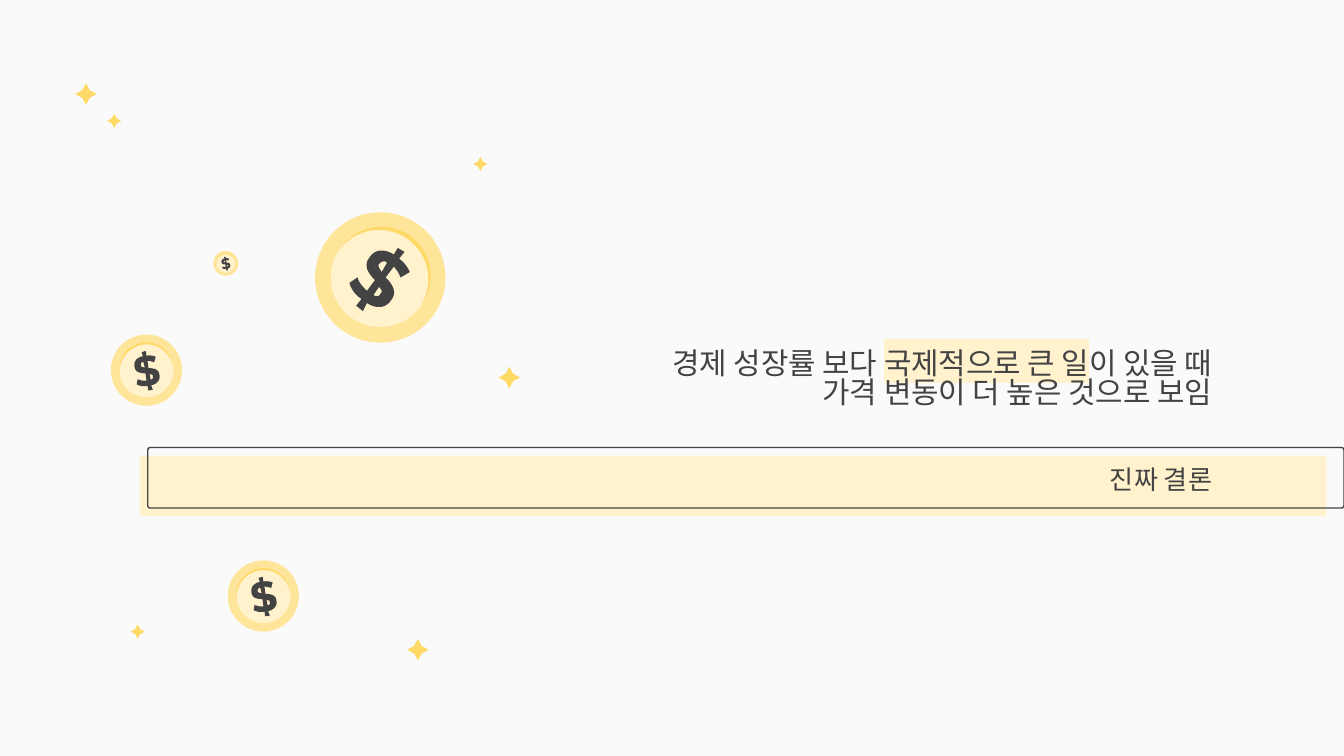
"""Builds the closing slide with floating coins, sparkles and a title bar."""
import math
from pptx import Presentation, util as u
from pptx.dml.color import RGBColor
from pptx.enum import shapes as es, text as et
from pptx.oxml import parse_xml
from pptx.oxml.ns import nsdecls, qn

HUES = {"paper": "FAFAFA", "ink": "434343", "cream": "FFF2CC",
        "rim": "FFE599", "gold": "FFD966"}
FONT = "Calibri"
WIDE, HIGH = u.Inches(10), u.Inches(5.625)
CELL = WIDE / 100

COINS = [(28.3, 20.65, 4.85, 35.5), (10.9, 27.55, 2.65, -9.8),
         (16.8, 19.6, 0.93, -9.8), (19.6, 44.35, 2.65, -9.8)]
STARS = [(37.9, 28.1, 0.8), (35.75, 12.2, 0.52), (31.1, 48.35, 0.8),
         (10.25, 47, 0.52), (6.4, 7, 0.8), (8.5, 9, 0.52)]

LEAN, UNIT = 35.5, 48.5
DOLLAR = [
    [(13, -22), (10, -17), (7, -19, 4, -20, 1, -20),
     (-3, -20, -6, -18, -8, -15), (-13, -9, -9, -3, -4, 2), (-10, 10),
     (-13, 7, -16, 4, -17, 0), (-23, 4), (-22, 8, -19, 13, -14, 16),
     (-18, 21), (-13, 25), (-10, 19), (-7, 21, -4, 22, -1, 22),
     (3, 22, 6, 20, 8, 17), (13, 11, 9, 5, 4, 0), (10, -8),
     (12, -6, 14, -3, 15, 0), (22, -4), (20, -8, 18, -11, 14, -14),
     (18, -19)],
    [(3, -12), (3, -12, 4, -12, 5, -11), (1, -4),
     (-1, -7, -2, -9, -1, -10), (0, -11, 1, -12, 3, -12)],
    [(-1, 7), (1, 9, 2, 11, 0, 12), (0, 13, -1, 14, -3, 14),
     (-3, 14, -4, 14, -5, 13)],
]


def hue(name):
    """Return a named colour."""
    return RGBColor.from_string(HUES[name])


def grid(*cells):
    """Turn grid cells into whole lengths."""
    return [u.Emu(round(c * CELL)) for c in cells]


def paint(shape, fill=None, line=None):
    """Give a shape its fill and line, without a shadow."""
    shape.shadow.inherit = False
    if fill:
        shape.fill.solid()
        shape.fill.fore_color.rgb = hue(fill)
    else:
        shape.fill.background()
    if line:
        shape.line.color.rgb = hue(line)
        shape.line.width = u.Pt(0.75)
    else:
        shape.line.fill.background()
    return shape


def bar(slide, box, fill=None, line=None):
    """Add a bar with slightly rounded corners."""
    shape = slide.shapes.add_shape(es.MSO_SHAPE.ROUNDED_RECTANGLE, *grid(*box))
    shape.adjustments[0] = 0.04
    paint(shape, fill, line)


def disc(slide, x, y, r, fill):
    """Add a circle around a centre."""
    box = grid(x - r, y - r, 2 * r, 2 * r)
    paint(slide.shapes.add_shape(es.MSO_SHAPE.OVAL, *box), fill)


def star(slide, x, y, r):
    """Add a four-pointed sparkle around a centre."""
    box = grid(x - r, y - r, 2 * r, 2 * r)
    shape = slide.shapes.add_shape(es.MSO_SHAPE.STAR_4_POINT, *box)
    shape.adjustments[0] = 0.25
    paint(shape, "gold")


def trace(outline, steps=8):
    """Turn an outline of lines and cubic curves into points."""
    dots = [outline[0]]
    for part in outline[1:]:
        if len(part) == 2:
            dots.append(part)
            continue
        ends = [dots[-1], part[:2], part[2:4], part[4:]]
        for i in range(1, steps + 1):
            t = i / steps
            mix = [math.comb(3, k) * t ** k * (1 - t) ** (3 - k)
                   for k in range(4)]
            dots.append(tuple(sum(m * e[a] for m, e in zip(mix, ends))
                              for a in (0, 1)))
    return dots


def moon():
    """Return the points of a thin crescent over a unit circle."""
    def arc(bend, steps):
        for a in steps:
            t = math.radians(a)
            r = 0.755 + bend * math.sin(t)
            yield r * math.cos(t), -r * math.sin(t)
    return [*arc(0.03, range(0, 181, 5)), *arc(-0.03, range(180, -1, -5))]


def form(slide, loops, x, y, size, turn, fill):
    """Draw closed loops, scaled and turned around a centre."""
    c, s = math.cos(math.radians(turn)), math.sin(math.radians(turn))
    loops = [[grid(x + size * (a * c - b * s), y + size * (a * s + b * c))
              for a, b in loop] for loop in loops]
    pen = slide.shapes.build_freeform(*loops[0][0], scale=1.0)
    pen.add_line_segments(loops[0][1:], close=True)
    for loop in loops[1:]:
        pen.move_to(*loop[0])
        pen.add_line_segments(loop[1:], close=True)
    paint(pen.convert_to_shape(), fill)


def coin(slide, x, y, r, tilt):
    """Draw a tilted dollar coin."""
    disc(slide, x, y, r, "rim")
    disc(slide, x, y, r * 0.76, "cream")
    form(slide, [moon()], x, y, r, tilt, "gold")
    form(slide, [trace(o) for o in DOLLAR], x, y, r / UNIT, tilt - LEAN, "ink")


def write(slide, holder, box, parts, size, anchor):
    """Fill a placeholder with right-aligned runs and bring it forward."""
    slide.shapes._spTree.append(holder._element)
    holder.left, holder.top, holder.width, holder.height = grid(*box)
    frame = holder.text_frame
    frame.word_wrap, frame.auto_size = True, et.MSO_AUTO_SIZE.NONE
    frame.vertical_anchor = anchor
    frame.margin_left, frame.margin_top, frame.margin_right, \
        frame.margin_bottom = grid(1, 1, 1, 1)
    para = frame.paragraphs[0]
    para.alignment = et.PP_ALIGN.RIGHT
    para.space_before = u.Pt(0)
    para.line_spacing = 0.83
    for words, mark in parts:
        run = para.add_run()
        run.text = words
        run.font.size, run.font.name = u.Pt(size), FONT
        run.font.color.rgb = hue("ink")
        if mark:
            run._r.rPr.find(qn("a:solidFill")).addnext(parse_xml(
                f'<a:highlight {nsdecls("a")}><a:srgbClr '
                f'val="{HUES[mark]}"/></a:highlight>'))


def main():
    """Build and save the slide."""
    deck = Presentation()
    deck.slide_width, deck.slide_height = WIDE, HIGH
    slide = deck.slides.add_slide(deck.slide_layouts[0])
    slide.background.fill.solid()
    slide.background.fill.fore_color.rgb = hue("paper")
    bar(slide, (10.4, 33.9, 88.3, 4.5), fill="cream")
    bar(slide, (11, 33.3, 89, 4.5), line="ink")
    write(slide, slide.placeholders[1], (44.6, 20.5, 46.6, 11),
          [("경제 성장률 보다 ", None), ("국제적으로 큰 일", "cream"),
           ("이 있을 때 가격 변동이 더 높은 것으로 보임", None)],
          16, et.MSO_ANCHOR.BOTTOM)
    write(slide, slide.shapes.title, (39.5, 33.3, 51.7, 5.1),
          [("진짜 결론", None)], 14, et.MSO_ANCHOR.MIDDLE)
    for spot in COINS:
        coin(slide, *spot)
    for spot in STARS:
        star(slide, *spot)
    deck.save("out.pptx")


if __name__ == "__main__":
    main()
